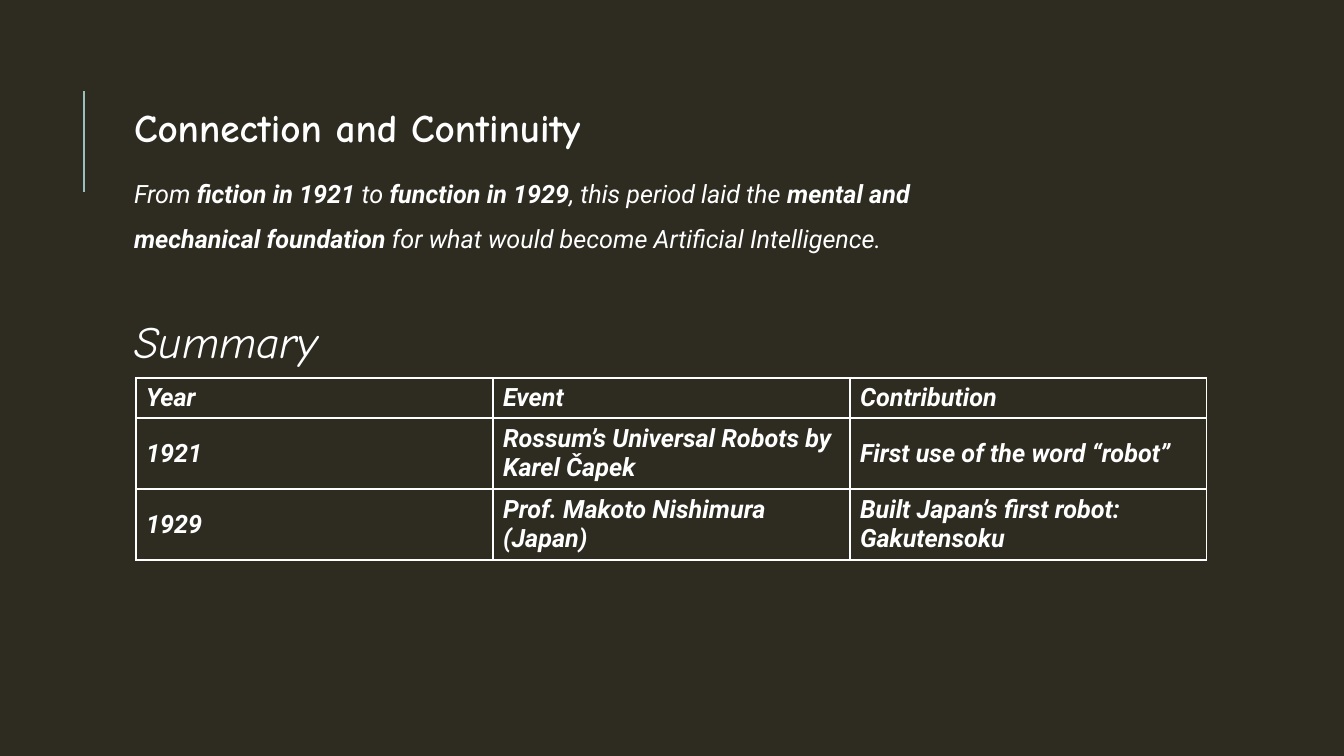
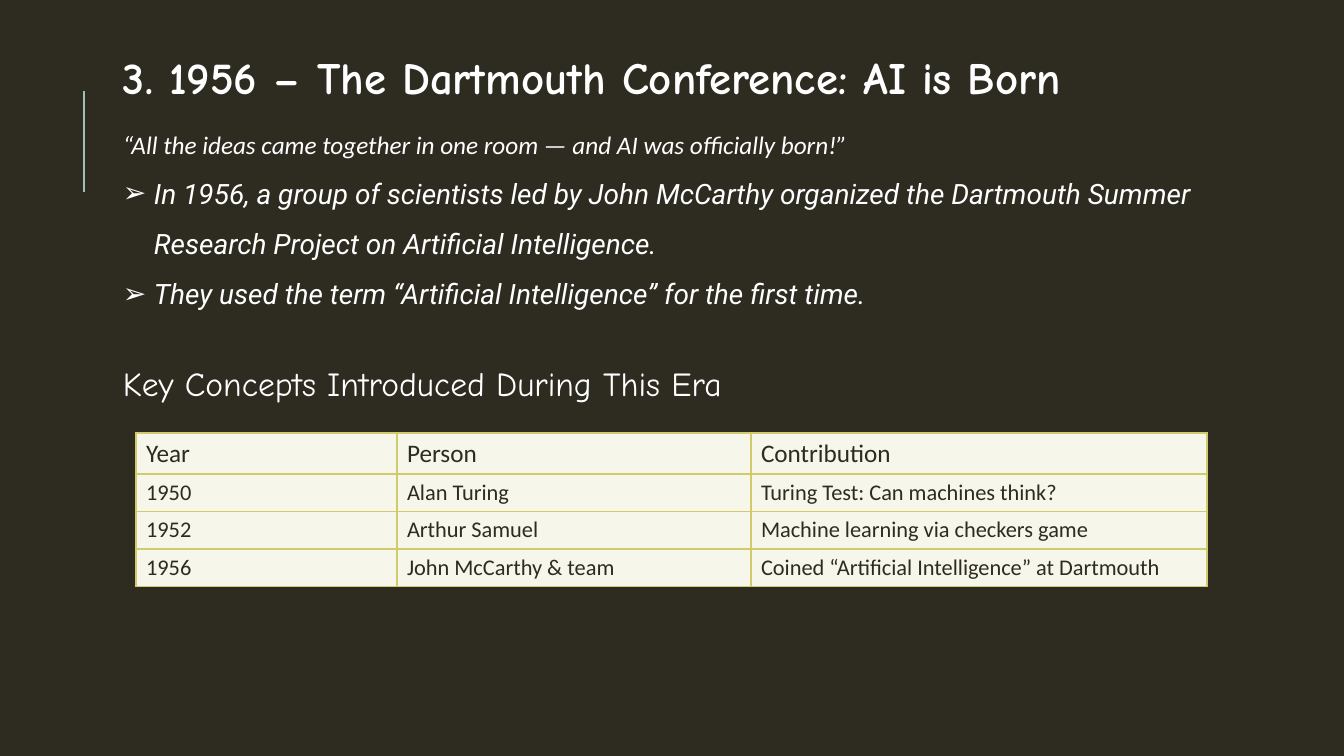
from collections import namedtuple
from itertools import cycle

from lxml.etree import SubElement
from pptx import Presentation
from pptx.dml.color import RGBColor
from pptx.enum.shapes import MSO_CONNECTOR as Connector
from pptx.enum.text import MSO_ANCHOR as Anchor, MSO_AUTO_SIZE as AutoSize, PP_ALIGN as Align
from pptx.oxml import parse_xml
from pptx.oxml.ns import nsdecls, qn
from pptx.util import Emu, Pt

PX = 914400 / 100.8
COLORS = {
    "background": "2E2B21",
    "text": "FFFFFF",
    "accent": "9CBEBD",
    "grid": "D2CB6C",
    "panel": "F7F6EB",
}
HEADING, BODY, PLAIN = "Comic Neue", "Roboto", "Calibri"
Box = namedtuple("Box", "left top width height")


def px(length):
    return Emu(round(length * PX))


def rgb(name):
    return RGBColor.from_string(COLORS[name])


def write(paragraph, text, font=BODY, size=18, color="text", bold=False, italic=False):
    run = paragraph.add_run()
    run.text = text
    run.font.name = font
    run.font.size = Pt(size)
    run.font.color.rgb = rgb(color)
    run.font.bold = bold
    run.font.italic = italic


def place(holder, box):
    holder.left, holder.top, holder.width, holder.height = map(px, box)
    frame = holder.text_frame
    frame.word_wrap = True
    frame.auto_size = AutoSize.NONE
    frame.vertical_anchor = Anchor.TOP
    frame.margin_left = frame.margin_top = frame.margin_right = frame.margin_bottom = 0
    return frame


def set_paragraph(paragraph, spacing=1.0, bullet=None, indent=0):
    paragraph.alignment = Align.LEFT
    paragraph.space_before = Pt(0)
    paragraph.line_spacing = spacing
    properties = paragraph._p.get_or_add_pPr()
    properties.set("marL", str(px(indent)))
    properties.set("indent", str(px(-indent)))
    if bullet:
        SubElement(properties, qn("a:buChar"), char=bullet)
    else:
        SubElement(properties, qn("a:buNone"))
    return paragraph


def add_heading(holder, box, text, **style):
    frame = place(holder, box)
    write(set_paragraph(frame.paragraphs[0]), text, font=HEADING, **style)


def add_body(slide, box, entries):
    frame = place(slide.placeholders[1], box)
    for index, (layout, runs) in enumerate(entries):
        paragraph = frame.add_paragraph() if index else frame.paragraphs[0]
        set_paragraph(paragraph, spacing=1.5, **layout)
        for text, style in runs:
            write(paragraph, text, italic=True, **style)


def add_subheading(slide, box, text, **style):
    add_heading(slide.shapes.add_textbox(0, 0, 0, 0), box, text, **style)


def add_side_rule(slide, box):
    rule = slide.shapes.add_connector(
        Connector.STRAIGHT,
        px(box.left), px(box.top + box.height), px(box.left + box.width), px(box.top),
    )
    rule.line.color.rgb = rgb("accent")
    rule.line.width = Pt(1.5)
    SubElement(rule._element.spPr, qn("a:effectLst"))


def set_borders(cell, color):
    properties = cell._tc.get_or_add_tcPr()
    for index, side in enumerate(("lnL", "lnR", "lnT", "lnB")):
        properties.insert(index, parse_xml(
            f'<a:{side} {nsdecls("a")} w="{Pt(1)}"><a:solidFill>'
            f'<a:srgbClr val="{COLORS[color]}"/></a:solidFill></a:{side}>'
        ))


def add_grid(slide, box, columns, heights, rows, border, header, entry, fill=None):
    table = slide.shapes.add_table(len(rows), len(columns), *map(px, box)).table
    table.first_row = table.horz_banding = False
    for column, width in zip(table.columns, columns):
        column.width = px(width)
    for row_index, (texts, height) in enumerate(zip(rows, heights)):
        table.rows[row_index].height = px(height)
        for column_index, text in enumerate(texts):
            cell = table.cell(row_index, column_index)
            cell.vertical_anchor = Anchor.MIDDLE
            if fill:
                cell.fill.solid()
                cell.fill.fore_color.rgb = rgb(fill)
            else:
                cell.fill.background()
            set_borders(cell, border)
            write(cell.text_frame.paragraphs[0], text, **(entry if row_index else header))


def start_slide(deck, box, title, size):
    slide = deck.slides.add_slide(deck.slide_layouts[1])
    add_side_rule(slide, Box(84, 91, 0, 101))
    add_heading(slide.shapes.title, box, title, size=size, bold=True)
    return slide


def build_continuity(deck, box):
    slide = start_slide(
        deck, Box(box.left, box.top, box.width, 45), "Connection and Continuity", 28)
    statement = (
        "From ", "fiction in 1921", " to ", "function in 1929",
        ", this period laid the ", "mental and mechanical foundation",
        " for what would become Artificial Intelligence.",
    )
    runs = [(text, {"bold": bold}) for text, bold in zip(statement, cycle((False, True)))]
    add_body(slide, Box(box.left, box.top + 60, box.width, 90), [({}, runs)])
    add_subheading(
        slide, Box(box.left, box.top + 211, box.width, 52), "Summary", size=32, italic=True)
    emphasis = {"bold": True, "italic": True}
    add_grid(
        slide, Box(box.left + 2, box.top + 275, 1071, 182), (357, 357, 357), (40, 71, 71),
        (
            ("Year", "Event", "Contribution"),
            ("1921", "Rossum’s Universal Robots by Karel Čapek",
             "First use of the word “robot”"),
            ("1929", "Prof. Makoto Nishimura (Japan)",
             "Built Japan’s first robot: Gakutensoku"),
        ),
        border="text", header=emphasis, entry=emphasis,
    )


def build_conference(deck, box):
    slide = start_slide(
        deck, Box(box.left, box.top, box.width, 52),
        "3. 1956 – The Dartmouth Conference: AI is Born", 32)
    quote = "“All the ideas came together in one room — and AI was officially born!”"
    facts = (
        "In 1956, a group of scientists led by John McCarthy organized the Dartmouth "
        "Summer Research Project on Artificial Intelligence.",
        "They used the term “Artificial Intelligence” for the first time.",
    )
    arrow = {"bullet": "➢", "indent": 31}
    add_body(
        slide, Box(box.left, box.top + 64, box.width, 190),
        [({}, [(quote, {"font": PLAIN})])]
        + [(arrow, [(fact, {"size": 20})]) for fact in facts],
    )
    add_subheading(
        slide, Box(box.left, box.top + 313, box.width, 40),
        "Key Concepts Introduced During This Era", size=24)
    dark = {"font": PLAIN, "color": "background"}
    add_grid(
        slide, Box(box.left + 13, box.top + 383, 1071, 152), (261, 354, 456), (41, 37, 37, 37),
        (
            ("Year", "Person", "Contribution"),
            ("1950", "Alan Turing", "Turing Test: Can machines think?"),
            ("1952", "Arthur Samuel", "Machine learning via checkers game"),
            ("1956", "John McCarthy & team", "Coined “Artificial Intelligence” at Dartmouth"),
        ),
        border="grid", header=dark, entry={**dark, "size": 16}, fill="panel",
    )


def main():
    deck = Presentation()
    deck.slide_width, deck.slide_height = px(1344), px(756)
    backdrop = deck.slide_master.background.fill
    backdrop.solid()
    backdrop.fore_color.rgb = rgb("background")
    build_continuity(deck, Box(134, 103, 807, 457))
    build_conference(deck, Box(123, 50, 1155, 535))
    deck.save("out.pptx")


if __name__ == "__main__":
    main()
